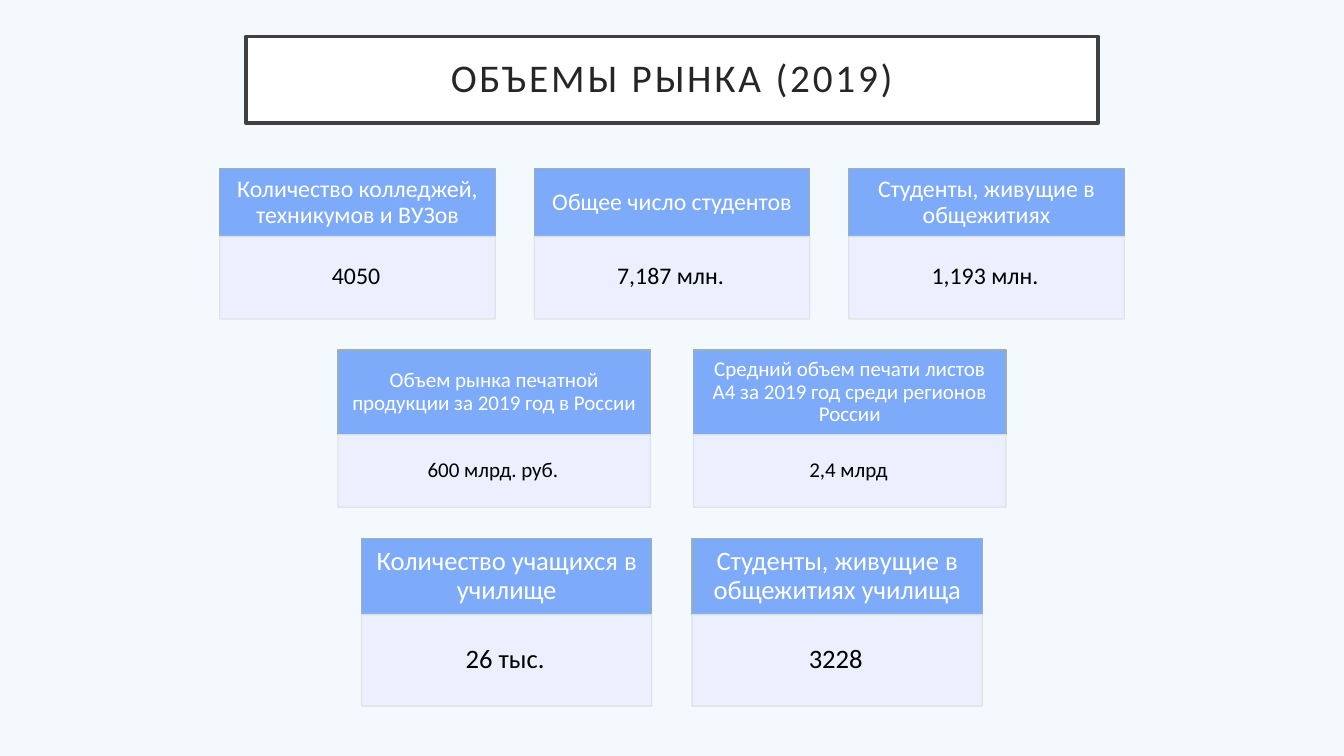
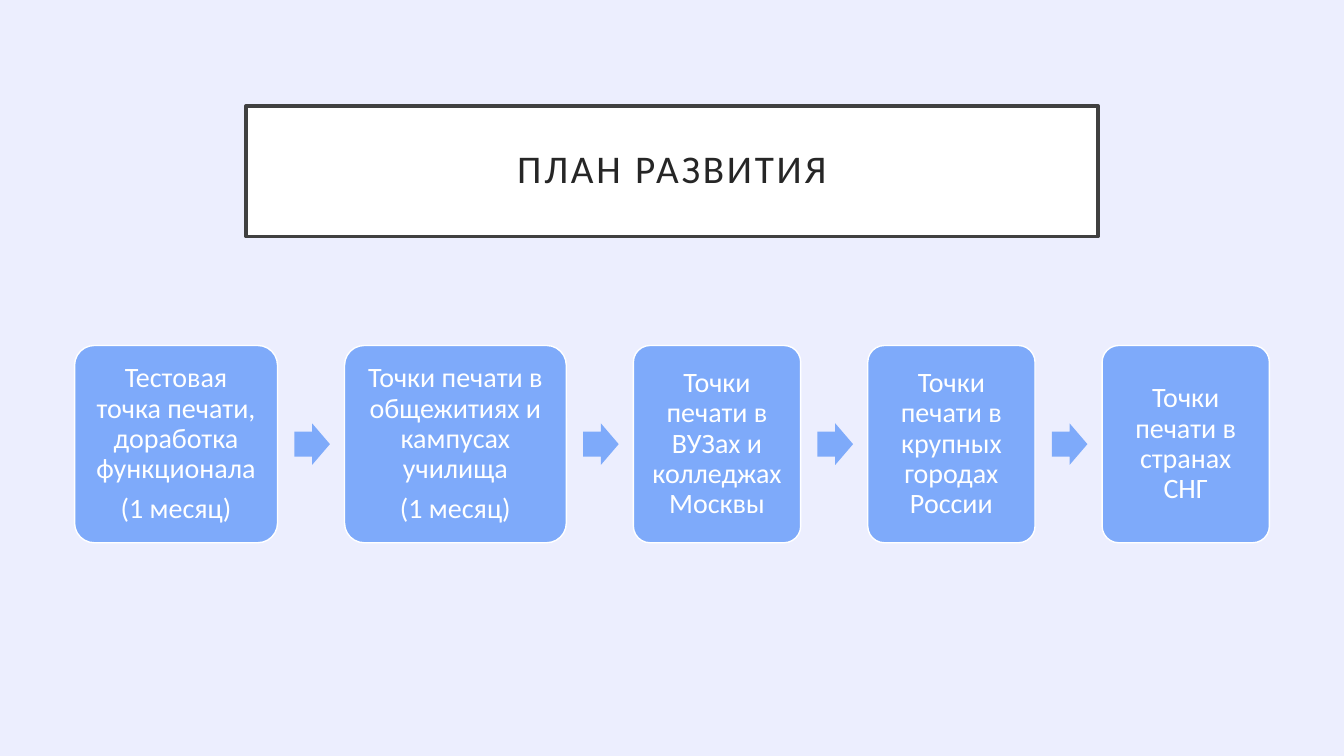
import dataclasses
import typing

import lxml.etree
import pptx
import pptx.dml.color
import pptx.enum.shapes
import pptx.enum.text
import pptx.oxml.ns
import pptx.util

SHAPES = pptx.enum.shapes.MSO_SHAPE
ANCHORS = pptx.enum.text.MSO_ANCHOR
FONT = "Calibri"
COLORS = {
    "market background": "F4F9FE",
    "plan background": "ECEEFE",
    "title border": "404040",
    "title text": "262626",
    "accent": "7EAAFA",
    "heading border": "9BAFB5",
    "value fill": "ECEEFE",
    "value border": "DEE3E5",
    "white": "FFFFFF",
    "black": "000000",
}
SLIDE_WIDTH = pptx.util.Inches(13.33)
SLIDE_HEIGHT = pptx.util.Inches(7.5)


# All positions and sizes are percentages of the slide's width and height.
class Box(typing.NamedTuple):
    left: float
    top: float
    width: float
    height: float


class Insets(typing.NamedTuple):
    """Text margins in points."""
    left: float
    top: float
    right: float
    bottom: float


@dataclasses.dataclass(frozen=True)
class TextStyle:
    size: float
    color: str
    insets: Insets
    line_spacing: float = 0.9
    space_after: float = 0
    letter_spacing: float = 0
    anchor: ANCHORS = ANCHORS.MIDDLE


@dataclasses.dataclass(frozen=True)
class Card:
    heading: str
    value: str


@dataclasses.dataclass(frozen=True)
class CardRow:
    top: float
    card_width: float
    gap: float
    heading_height: float
    value_height: float
    size: float
    cards: tuple[Card, ...]


@dataclasses.dataclass(frozen=True)
class Step:
    width: float
    paragraphs: tuple[str, ...]


CARD_ROWS = (
    CardRow(22.3, 20.5, 2.9, 9, 10.9, 17, (
        Card("Количество колледжей, техникумов и ВУЗов", "4050"),
        Card("Общее число студентов", "7,187 млн."),
        Card("Студенты, живущие в общежитиях", "1,193 млн."),
    )),
    CardRow(46.3, 23.25, 3.2, 11.2, 9.6, 15, (
        Card("Объем рынка печатной продукции за 2019 год в России", "600 млрд. руб."),
        Card("Средний объем печати листов А4 за 2019 год среди регионов России",
             "2,4 млрд"),
    )),
    CardRow(71.2, 21.6, 3, 10.1, 12.1, 19, (
        Card("Количество учащихся в училище", "26 тыс."),
        Card("Студенты, живущие в общежитиях училища", "3228"),
    )),
)
STEPS = (
    Step(15.1, ("Тестовая точка печати, доработка функционала", "(1 месяц)")),
    Step(16.5, ("Точки печати в общежитиях и кампусах училища", "(1 месяц)")),
    Step(12.45, ("Точки печати в ВУЗах и колледжах Москвы",)),
    Step(12.45, ("Точки печати в крупных городах России",)),
    Step(12.45, ("Точки печати в странах СНГ",)),
)
STEP_MARGIN, STEP_TOP, STEP_HEIGHT = 5.55, 45.7, 26.1
ARROW_WIDTH, ARROW_HEIGHT = 2.65, 5.5


def paint(fill, color: str, opacity: int = 100) -> None:
    fill.solid()
    fill.fore_color.rgb = pptx.dml.color.RGBColor.from_string(COLORS[color])
    if opacity < 100:
        color_element = fill._xPr.find(".//" + pptx.oxml.ns.qn("a:srgbClr"))
        lxml.etree.SubElement(color_element, pptx.oxml.ns.qn("a:alpha"),
                              val=str(opacity * 1000))


def add_box(slide, kind: SHAPES, box: Box, fill: str, border: str | None = None,
            border_width: float = 1, opacity: int = 100):
    shape = slide.shapes.add_shape(
        kind,
        int(SLIDE_WIDTH * box.left / 100), int(SLIDE_HEIGHT * box.top / 100),
        int(SLIDE_WIDTH * box.width / 100), int(SLIDE_HEIGHT * box.height / 100),
    )
    shape.shadow.inherit = False
    paint(shape.fill, fill, opacity)
    if border is None:
        shape.line.fill.background()
    else:
        shape.line.width = pptx.util.Pt(border_width)
        paint(shape.line.fill, border, opacity)
    return shape


def write(shape, text: str, style: TextStyle) -> None:
    frame = shape.text_frame
    frame.text = text
    frame.word_wrap = True
    frame.vertical_anchor = style.anchor
    (frame.margin_left, frame.margin_top,
     frame.margin_right, frame.margin_bottom) = map(pptx.util.Pt, style.insets)
    for paragraph in frame.paragraphs:
        paragraph.alignment = pptx.enum.text.PP_ALIGN.CENTER
        paragraph.line_spacing = style.line_spacing
        paragraph.space_after = pptx.util.Pt(style.space_after)
        for run in paragraph.runs:
            run.font.name = FONT
            run.font.size = pptx.util.Pt(style.size)
            run.font.color.rgb = pptx.dml.color.RGBColor.from_string(COLORS[style.color])
            if style.letter_spacing:
                run.font._element.set("spc", str(int(style.letter_spacing * 100)))


def add_titled_slide(presentation, background: str, title: str,
                     title_top: float, title_height: float):
    slide = presentation.slides.add_slide(presentation.slide_layouts[6])
    paint(slide.background.fill, background)
    shape = add_box(slide, SHAPES.RECTANGLE, Box(18.3, title_top, 63.4, title_height),
                    "white", "title border", border_width=2.5)
    write(shape, title, TextStyle(28, "title text", Insets(14.4, 14.4, 14.4, 14.4),
                                  letter_spacing=2))
    return slide


def add_card_row(slide, row: CardRow) -> None:
    """Draw a horizontally centred row; text margins follow the type size."""
    size = row.size
    heading_style = TextStyle(
        size, "white", Insets(0.55 * size, 0.33 * size, 0.55 * size, 0.33 * size),
        space_after=0.35 * size)
    value_style = TextStyle(
        size, "black", Insets(0.43 * size, 0.43 * size, 0.55 * size, 0.63 * size),
        line_spacing=1.5, space_after=0.15 * size, anchor=ANCHORS.TOP)
    pitch = row.card_width + row.gap
    start = (100 - len(row.cards) * pitch + row.gap) / 2
    for column, card in enumerate(row.cards):
        left = start + column * pitch
        heading = add_box(slide, SHAPES.RECTANGLE,
                          Box(left, row.top, row.card_width, row.heading_height),
                          "accent", "heading border")
        write(heading, card.heading, heading_style)
        value = add_box(slide, SHAPES.RECTANGLE,
                        Box(left, row.top + row.heading_height,
                            row.card_width, row.value_height),
                        "value fill", "value border", opacity=90)
        write(value, card.value, value_style)


def add_step_flow(slide, steps: tuple[Step, ...]) -> None:
    """Spread the steps between the margins, with an arrow in every gap."""
    style = TextStyle(20, "white", Insets(10, 10, 10, 10), space_after=7)
    free_width = 100 - 2 * STEP_MARGIN - sum(step.width for step in steps)
    gap = free_width / (len(steps) - 1)
    arrow_top = STEP_TOP + (STEP_HEIGHT - ARROW_HEIGHT) / 2
    left = STEP_MARGIN
    for index, step in enumerate(steps):
        if index:
            arrow = add_box(slide, SHAPES.RIGHT_ARROW,
                            Box(left - 0.75 * gap, arrow_top, ARROW_WIDTH, ARROW_HEIGHT),
                            "accent")
            arrow.adjustments[0] = 0.6
        shape = add_box(slide, SHAPES.ROUNDED_RECTANGLE,
                        Box(left, STEP_TOP, step.width, STEP_HEIGHT), "accent", "white")
        shape.adjustments[0] = 0.1
        write(shape, "\n".join(step.paragraphs), style)
        left += step.width + gap


def main() -> None:
    presentation = pptx.Presentation()
    presentation.slide_width = SLIDE_WIDTH
    presentation.slide_height = SLIDE_HEIGHT

    market = add_titled_slide(presentation, "market background",
                              "ОБЪЕМЫ РЫНКА (2019)", 4.8, 11.5)
    for row in CARD_ROWS:
        add_card_row(market, row)

    plan = add_titled_slide(presentation, "plan background", "ПЛАН РАЗВИТИЯ", 14, 17.3)
    add_step_flow(plan, STEPS)

    presentation.save("out.pptx")


if __name__ == "__main__":
    main()
